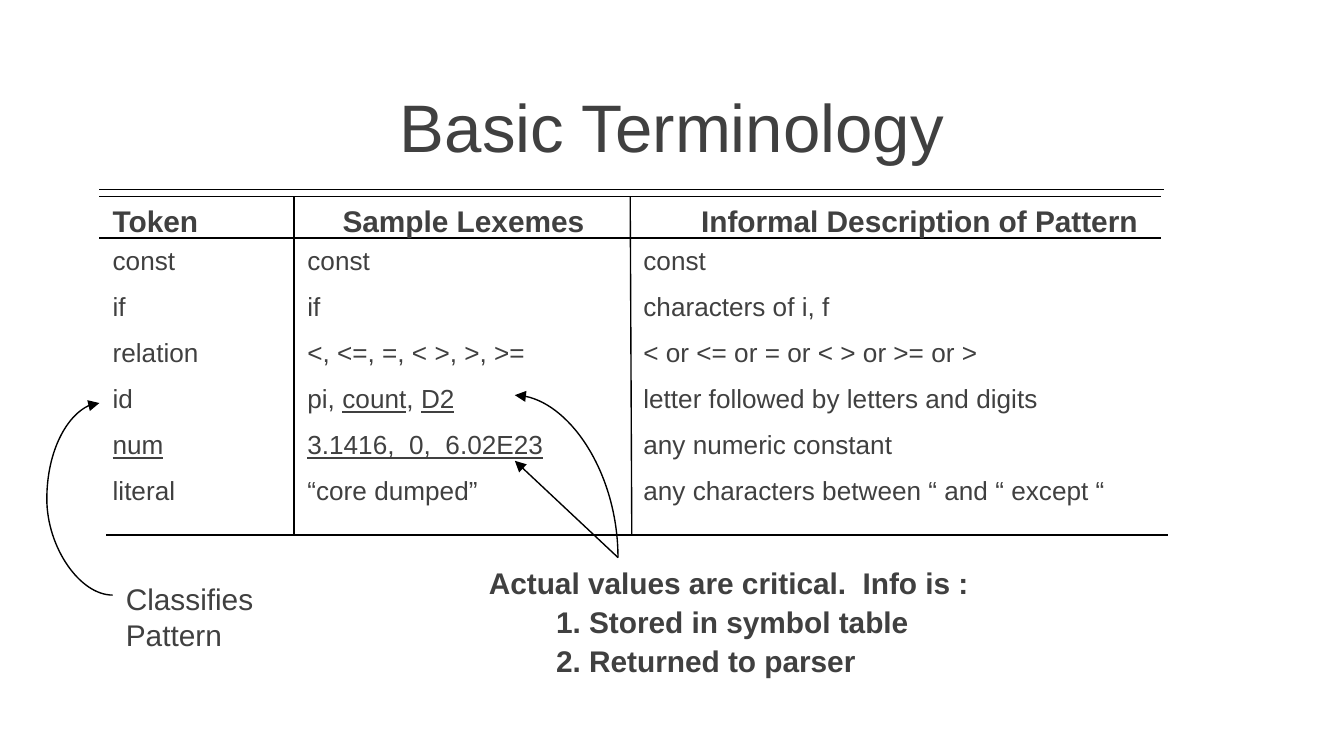
"""Builds the Basic Terminology slide with its token table and annotations."""
from lxml import etree
from pptx import Presentation
from pptx.dml.color import RGBColor
from pptx.enum.shapes import MSO_CONNECTOR
from pptx.enum.text import MSO_ANCHOR, MSO_AUTO_SIZE, PP_ALIGN
from pptx.oxml.ns import qn
from pptx.util import Cm, Pt

LEFT, CENTER = PP_ALIGN.LEFT, PP_ALIGN.CENTER
TOP, NO_FIT = MSO_ANCHOR.TOP, MSO_AUTO_SIZE.NONE
STRAIGHT, CURVE = MSO_CONNECTOR.STRAIGHT, MSO_CONNECTOR.CURVE
TITLE_ONLY = 5

HEADER_TOP, BODY_TOP, TABLE_BOTTOM = 3.71, 4.5, 10.11
RULES = [(1.88, 22, 3.58), (1.88, 21.95, HEADER_TOP),
         (1.88, 21.95, BODY_TOP), (2.01, 22.07, TABLE_BOTTOM)]
DIVIDERS = [(5.56, 5.56), (11.91, 11.94)]
HEADERS = [("Token", 1.88, 3.43, LEFT),
           ("Sample Lexemes", 5.46, 6.6, CENTER),
           ("Informal Description of Pattern", 12.12, 10.52, CENTER)]
COLUMNS = [
    (1.88, 3.68, ["const", "if", "relation", "id", "_num_", "literal"]),
    (5.56, 6.38, ["const", "if", "<, <=, =, < >, >, >=", "pi, _count_, _D2_",
                  "_3.1416,  0,  6.02E23_", "“core dumped”"]),
    (11.91, 10.29, ["const", "characters of i, f",
                    "< or <= or = or < > or >= or >",
                    "letter followed by letters and digits",
                    "any numeric constant",
                    "any characters between “ and “ except “"]),
]
NOTE_ORIGIN = (11.68, 10.54)


def color(hex_string):
    return RGBColor.from_string(hex_string)


class SlideBuilder:
    font_name = "Arial"
    text_color = color("404040")
    line_color = color("000000")

    def __init__(self, slide):
        self.slide = slide

    def add_runs(self, paragraph, text, size, bold=False):
        for index, part in enumerate(text.split("_")):
            if part:
                run = paragraph.add_run()
                run.text = part
                run.font.name = self.font_name
                run.font.size = Pt(size)
                run.font.bold = bold
                run.font.underline = index % 2 == 1
                run.font.color.rgb = self.text_color

    def title(self, text, left, top, width, height):
        shape = self.slide.shapes.title
        shape.left, shape.top = Cm(left), Cm(top)
        shape.width, shape.height = Cm(width), Cm(height)
        frame = shape.text_frame
        frame.auto_size = NO_FIT
        frame.vertical_anchor = TOP
        frame.margin_top = Cm(0.27)
        paragraph = frame.paragraphs[0]
        paragraph.alignment = CENTER
        self.add_runs(paragraph, text, 36)

    def text(self, lines, left, top, width, height, size=16, bold=False,
             alignment=LEFT):
        shape = self.slide.shapes.add_textbox(
            Cm(left), Cm(top), Cm(width), Cm(height))
        frame = shape.text_frame
        frame.word_wrap = True
        for index, line in enumerate(lines):
            paragraph = frame.add_paragraph() if index else frame.paragraphs[0]
            paragraph.alignment = alignment
            if index:
                paragraph.space_before = Pt(size * 0.56)
            self.add_runs(paragraph, line, size, bold)
        return frame

    def line(self, start, end, kind=STRAIGHT, arrow=None):
        connector = self.slide.shapes.add_connector(
            kind, *(Cm(value) for value in start + end))
        connector.line.color.rgb = self.line_color
        connector.line.width = Pt(0.75)
        properties = connector._element.spPr
        if arrow:
            outline = properties.find(qn("a:ln"))
            etree.SubElement(outline, qn(arrow)).set("type", "triangle")
        etree.SubElement(properties, qn("a:effectLst"))
        return connector

    def curve(self, start, end, arrow, preset, bend=None):
        connector = self.line(start, end, CURVE, arrow)
        geometry = connector._element.spPr.find(qn("a:prstGeom"))
        geometry.set("prst", preset)
        if bend:
            guide = etree.SubElement(geometry.find(qn("a:avLst")), qn("a:gd"))
            guide.set("name", "adj1")
            guide.set("fmla", f"val {bend}")


def main():
    presentation = Presentation()
    presentation.slide_width = Cm(25.4)
    presentation.slide_height = Cm(14.29)
    layout = presentation.slide_layouts[TITLE_ONLY]
    builder = SlideBuilder(presentation.slides.add_slide(layout))

    builder.title("Basic Terminology", 0, 1.35, 25.4, 1.6)
    for left, right, top in RULES:
        builder.line((left, top), (right, top))
    for upper, lower in DIVIDERS:
        builder.line((upper, HEADER_TOP), (lower, TABLE_BOTTOM))
    for header, left, width, alignment in HEADERS:
        builder.text([header], left, HEADER_TOP, width, 0.94, bold=True,
                     alignment=alignment)
    for left, width, entries in COLUMNS:
        builder.text(entries, left, BODY_TOP, width, 5.33, size=14)

    builder.text(["Classifies Pattern"], 2.13, 10.85, 4.17, 1.63)
    builder.curve((2.13, 11.25), (1.88, 7.62), "a:tailEnd",
                  "curvedConnector3", 497400)

    note = builder.text(
        ["Actual values are critical.  Info is :",
         "1. Stored in symbol table", "2. Returned to parser"],
        8.99, 10.54, 11.76, 2.44, bold=True)
    for paragraph in note.paragraphs[1:]:
        paragraph.level = 1
        paragraph.line_spacing = 0.6
        paragraph._p.get_or_add_pPr().set("marL", str(Cm(1.27)))
    builder.line(NOTE_ORIGIN, (9.73, 8.71), arrow="a:tailEnd")
    builder.curve((9.73, 7.47), NOTE_ORIGIN, "a:headEnd", "curvedConnector2")

    presentation.save("out.pptx")


if __name__ == "__main__":
    main()
